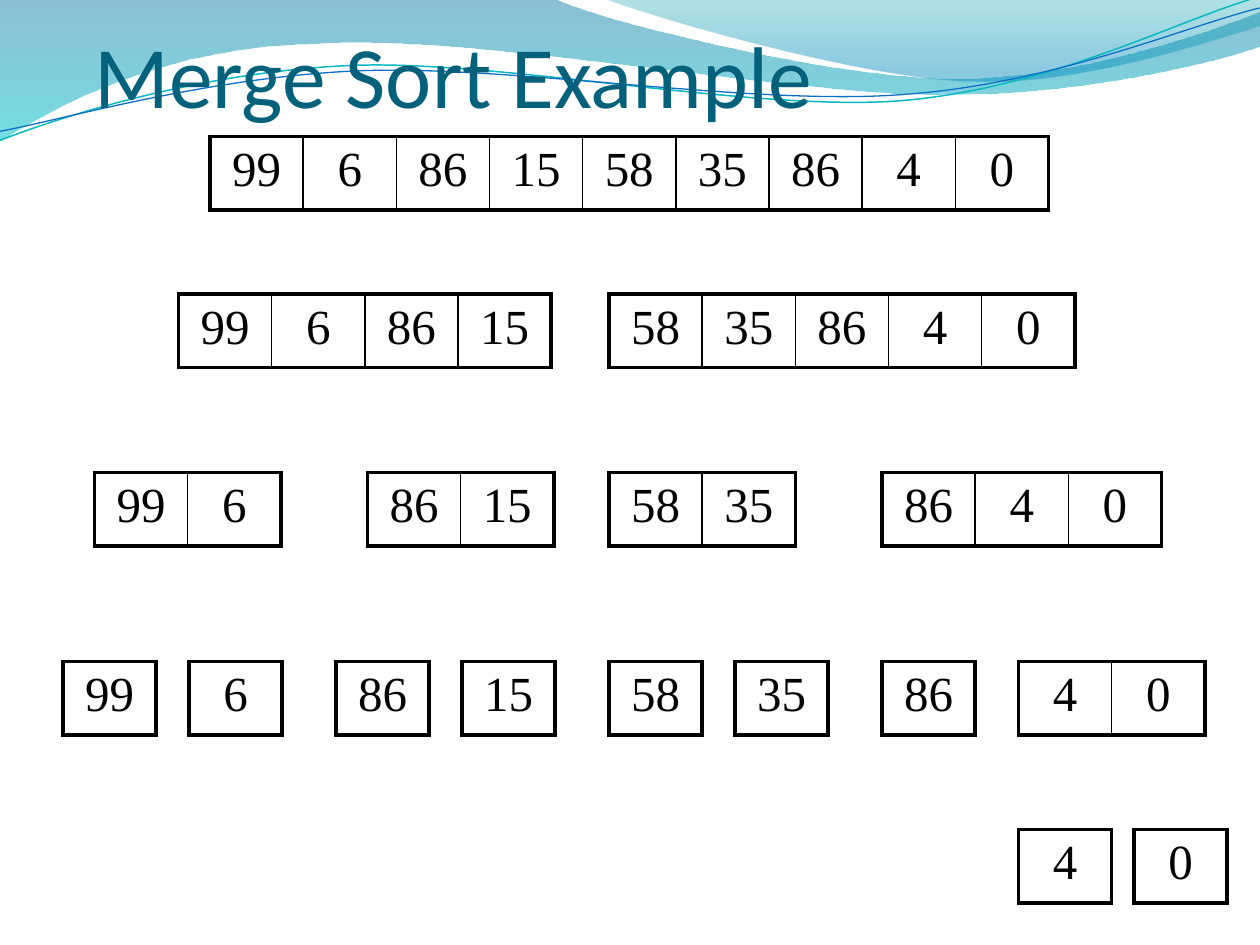
import math

from lxml import etree
from pptx import Presentation
from pptx import util as u
from pptx.dml.color import RGBColor
from pptx.enum import text
from pptx.oxml import ns, parse_xml

PX = 9525
WIDE, HIGH = 960, 720
CELL_W, CELL_H = 71, 56
TILT = -2.7
HUB = (479, 55)
COLORS = {
    "title": "04617B", "ink": "000000",
    "deep": "0074A1", "aqua": "00C6CF",
    "teal": "00A1A9", "sky": "008BBF",
    "line1": "0AB8BF", "line2": "0F6FC6",
}
BAND = [
    [(0, 0)], [(422, -1)],
    [(457, 16), (637, 60), (728, 60)],
    [(820, 60), (920, 25), (960, 9)],
    [(961, 35)],
    [(944, 42), (835, 73), (716, 72)],
    [(596, 72), (367, 27), (247, 33)],
    [(124, 35), (44, 80), (-1, 108)],
    [(0, 0)],
]
CREST = [
    [(460, -1)],
    [(489, 11), (655, 60), (738, 62)],
    [(822, 66), (923, 31), (960, 20)],
    [(960, 0)], [(460, -1)],
]
LINE1 = [
    [(0, 107)],
    [(46, 89), (152, 55), (266, 50)],
    [(379, 45), (569, 85), (684, 77)],
    [(800, 68), (900, 14), (958, -2)],
]
LINE2 = [
    [(0, 100)],
    [(45, 92), (157, 59), (272, 54)],
    [(387, 49), (573, 81), (688, 72)],
    [(803, 64), (903, 20), (960, 6)],
]
LEVELS = [
    (104, [(160, [99, 6, 86, 15, 58, 35, 86, 4, 0])]),
    (224, [(136, [99, 6, 86, 15]), (464, [58, 35, 86, 4, 0])]),
    (360, [(280, [86, 15]), (72, [99, 6]), (464, [58, 35]),
           (672, [86, 4, 0])]),
    (504, [(48, [99]), (144, [6]), (256, [86]), (352, [15]),
           (464, [58]), (560, [35]), (672, [86]), (776, [4, 0])]),
    (632, [(776, [4]), (864, [0])]),
]


def px(n):
    return u.Emu(round(n * PX))


def rgb(name):
    return RGBColor.from_string(COLORS[name])


def turn(spot, angle):
    turned = math.radians(angle)
    dx, dy = spot[0] - HUB[0], spot[1] - HUB[1]
    return (HUB[0] + dx * math.cos(turned) - dy * math.sin(turned),
            HUB[1] + dx * math.sin(turned) + dy * math.cos(turned))


def outline(slide, parts, close):
    spots = [(px(x), px(y)) for part in parts for x, y in part]
    pen = slide.shapes.build_freeform(*spots[0])
    pen.add_line_segments(spots[1:], close=close)
    shape = pen.convert_to_shape()
    shape.shadow.inherit = False
    nodes = iter(list(shape._element.iter(ns.qn("a:lnTo"))))
    for part in parts[1:]:
        head, *rest = [next(nodes) for spot in part]
        if rest:
            curve = etree.Element(ns.qn("a:cubicBezTo"))
            head.addprevious(curve)
            for node in (head, *rest):
                curve.append(node[0])
                node.getparent().remove(node)
    return shape


def add_wave(slide, parts, stops):
    shape = outline(slide, parts, True)
    shape.line.fill.background()
    shape.fill.gradient()
    shape.fill.gradient_angle = 270
    for stop, (pos, name, alpha) in zip(shape.fill.gradient_stops, stops):
        stop.position = pos
        stop.color.rgb = rgb(name)
    tints = shape.fill._xPr.iter(ns.qn("a:srgbClr"))
    for tint, (pos, name, alpha) in zip(tints, stops):
        etree.SubElement(tint, ns.qn("a:alpha"), val=str(alpha * 1000))


def add_curve(slide, parts, name, width):
    level = [[turn(spot, -TILT) for spot in part] for part in parts]
    shape = outline(slide, level, False)
    shape.rotation = TILT
    shape.fill.background()
    shape.line.color.rgb = rgb(name)
    shape.line.width = u.Pt(width)


def style(para, font, size, name):
    for run in para.runs:
        run.font.name = font
        run.font.size = u.Pt(size)
        run.font.color.rgb = rgb(name)


def add_title(slide, words):
    box = slide.shapes.add_textbox(px(72), 0, px(816), px(96))
    frame = box.text_frame
    frame.word_wrap = True
    frame.vertical_anchor = text.MSO_ANCHOR.BOTTOM
    frame.margin_left = frame.margin_right = frame.margin_bottom = 0
    frame.text = words
    style(frame.paragraphs[0], "Calibri", 50, "title")


def add_edges(cell, widths):
    props = cell._tc.get_or_add_tcPr()
    for i, (side, width) in enumerate(zip("LRTB", widths)):
        props.insert(i, parse_xml(
            f'<a:ln{side} {ns.nsdecls("a")} w="{u.Pt(width)}">'
            f'<a:solidFill><a:srgbClr val="{COLORS["ink"]}"/></a:solidFill>'
            f'</a:ln{side}>'))


def add_array(slide, x, y, nums):
    count = len(nums)
    table = slide.shapes.add_table(
        1, count, px(x), px(y), px(CELL_W * count), px(CELL_H)).table
    table.first_row = table.horz_banding = False
    for i, num in enumerate(nums):
        table.columns[i].width = px(CELL_W)
        cell = table.cell(0, i)
        cell.fill.background()
        left = 2.25 if i == 0 else 1
        right = 2.25 if i == count - 1 else 1
        add_edges(cell, (left, right, 2.25, 2.25))
        cell.text_frame.text = str(num)
        para = cell.text_frame.paragraphs[0]
        para.alignment = text.PP_ALIGN.CENTER
        style(para, "Times New Roman", 28, "ink")


def main():
    deck = Presentation()
    deck.slide_width, deck.slide_height = px(WIDE), px(HIGH)
    slide = deck.slides.add_slide(deck.slide_layouts[6])
    add_wave(slide, BAND, [(0, "deep", 45), (1, "aqua", 55)])
    add_wave(slide, CREST, [(0, "teal", 30), (0.8, "sky", 45)])
    add_curve(slide, LINE1, "line1", 0.85)
    add_curve(slide, LINE2, "line2", 0.75)
    add_title(slide, "Merge Sort Example")
    for y, arrays in LEVELS:
        for x, nums in arrays:
            add_array(slide, x, y, nums)
    deck.save("out.pptx")


if __name__ == "__main__":
    main()
